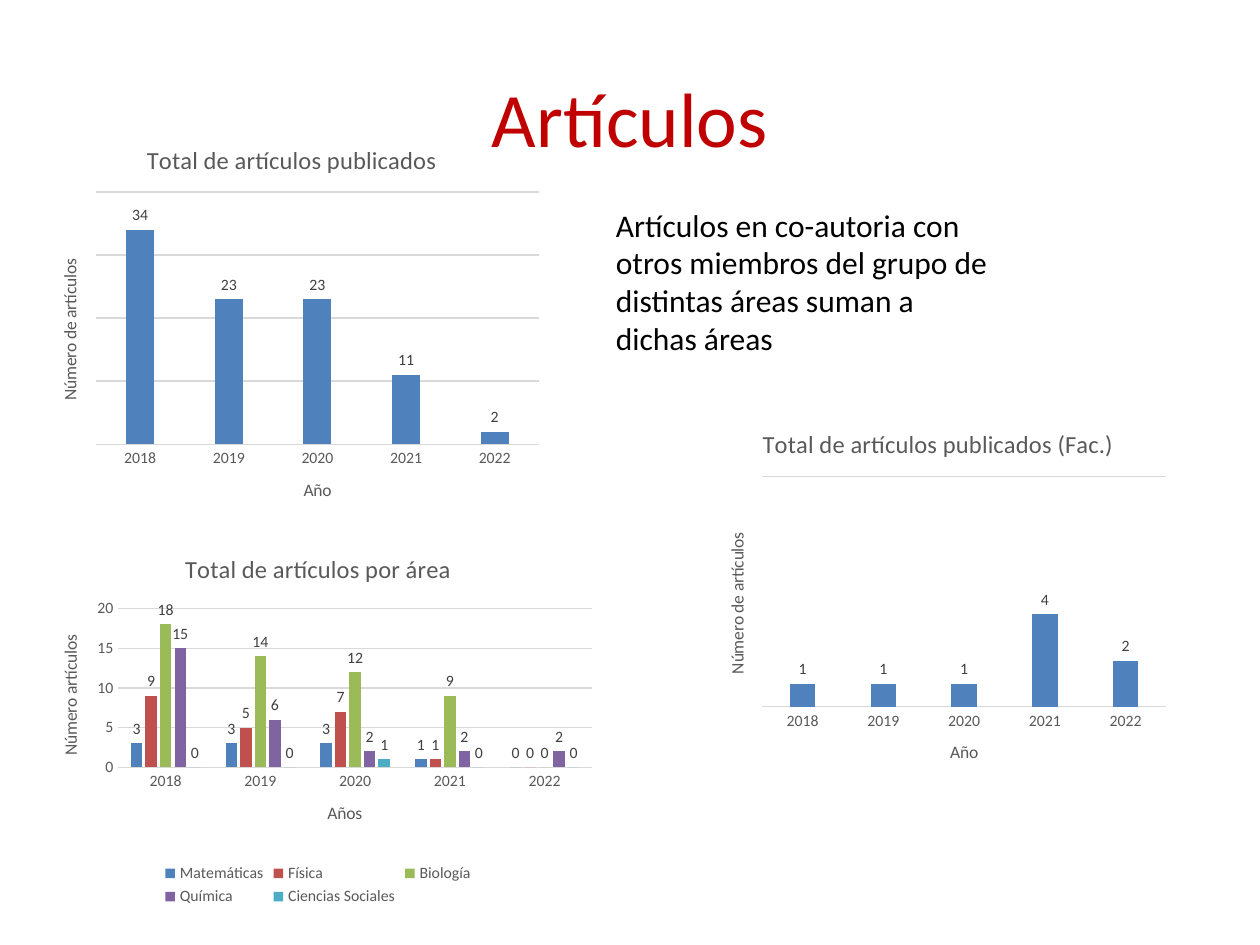
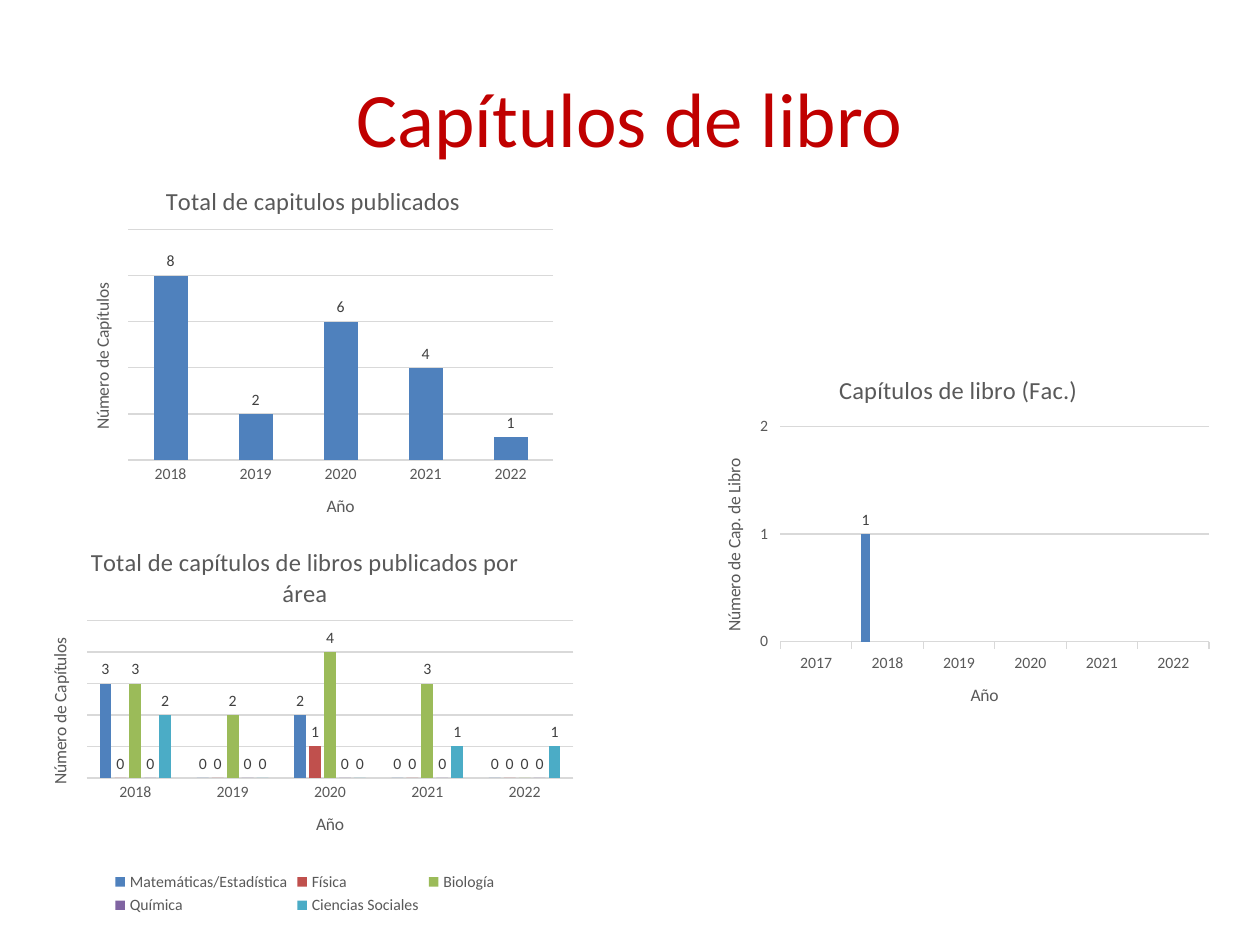
from lxml import etree
from pptx import Presentation
from pptx.chart.data import CategoryChartData
from pptx.dml.color import RGBColor
from pptx.enum.chart import XL_CHART_TYPE, XL_LABEL_POSITION, XL_LEGEND_POSITION, XL_TICK_MARK
from pptx.enum.text import MSO_ANCHOR, PP_ALIGN
from pptx.oxml import parse_xml
from pptx.oxml.ns import nsdecls
from pptx.util import Inches, Pt

COLUMN = XL_CHART_TYPE.COLUMN_CLUSTERED
OUT_END = XL_LABEL_POSITION.OUTSIDE_END
BOTTOM = XL_LEGEND_POSITION.BOTTOM
NO_TICK, TICK = XL_TICK_MARK.NONE, XL_TICK_MARK.OUTSIDE
MIDDLE, CENTER, LEFT = MSO_ANCHOR.MIDDLE, PP_ALIGN.CENTER, PP_ALIGN.LEFT

RED = RGBColor(0xC0, 0x00, 0x00)
BLACK = RGBColor(0x00, 0x00, 0x00)
GRAY = RGBColor(0x59, 0x59, 0x59)
DARK = RGBColor(0x40, 0x40, 0x40)
RULE = RGBColor(0xD9, 0xD9, 0xD9)
FILLS = [RGBColor(0x4F, 0x81, 0xBD), RGBColor(0xC0, 0x50, 0x4D),
         RGBColor(0x9B, 0xBB, 0x59), RGBColor(0x80, 0x64, 0xA2),
         RGBColor(0x4B, 0xAC, 0xC6)]

FACE = "Calibri"
WIDE, HIGH = Inches(10), Inches(7.5)
YEARS = ["2018", "2019", "2020", "2021", "2022"]
HEAD_BOX = (0.05, 0.04, 0.9, 0.167)


def place(box):
    """Turn shares of the slide into lengths."""
    x, y, w, h = box
    return int(x * WIDE), int(y * HIGH), int(w * WIDE), int(h * HIGH)


def style(font, size, color):
    """Set the face, size and colour of a font."""
    for name, value in {"name": FACE, "size": Pt(size), "bold": False}.items():
        setattr(font, name, value)
    font.color.rgb = color


def write(slide, box, words, size, color, align=LEFT, anchor=None):
    """Place one paragraph of wrapped text in a box."""
    frame = slide.shapes.add_textbox(*place(box)).text_frame
    frame.word_wrap = True
    frame.vertical_anchor = anchor
    line = frame.paragraphs[0]
    line.alignment = align
    run = line.add_run()
    run.text = words
    style(run.font, size, color)


def label(owner, words, size):
    """Give a chart or an axis its title."""
    owner.has_title = True
    line = owner.chart_title if hasattr(owner, "chart_title") else owner.axis_title
    run = line.text_frame.paragraphs[0].add_run()
    run.text = words
    style(run.font, size, GRAY)


def rule(line, shown=True):
    """Draw a thin gray line, or hide it."""
    if shown:
        line.color.rgb = RULE
        line.width = Pt(0.75)
    else:
        line.fill.background()


def fit(chart, plot):
    """Fix the inner plot area at shares of the chart's box."""
    area = chart.plots[0]._element.getparent()
    for old in area.findall("{*}layout"):
        area.remove(old)
    layout = parse_xml(f"<c:layout {nsdecls('c')}><c:manualLayout/></c:layout>")
    parts = {"layoutTarget": "inner", "xMode": "edge", "yMode": "edge"}
    parts.update(zip("xywh", plot))
    space = etree.QName(layout).namespace
    for name, value in parts.items():
        etree.SubElement(layout[0], f"{{{space}}}{name}").set("val", str(value))
    area.insert(0, layout)


def dress(axis, words, mark, line):
    """Style what both axes share."""
    label(axis, words, 10)
    axis.major_tick_mark, axis.minor_tick_mark = mark, NO_TICK
    style(axis.tick_labels.font, 9, GRAY)
    rule(axis.format.line, line)


def graph(slide, box, plot, title, side, rows, top, step, base="Año", cats=YEARS,
          scale=False, legend=False, mark=NO_TICK, line=True, gap=219, lap=-27):
    """Place a column chart with labelled bars in a box."""
    data = CategoryChartData()
    data.categories = cats
    for name, values in rows.items():
        data.add_series(name, values)
    chart = slide.shapes.add_chart(COLUMN, *place(box), data).chart
    style(chart.font, 10, BLACK)
    label(chart, title, 14)
    chart.has_legend = legend
    if legend:
        chart.legend.position = BOTTOM
        chart.legend.include_in_layout = False
        style(chart.legend.font, 9, GRAY)

    dress(chart.category_axis, base, mark, line)
    axis = chart.value_axis
    dress(axis, side, mark, False)
    limits = {"minimum_scale": 0, "maximum_scale": top, "major_unit": step,
              "visible": scale, "has_major_gridlines": True}
    for name, value in limits.items():
        setattr(axis, name, value)
    rule(axis.major_gridlines.format.line)

    bars = chart.plots[0]
    for name, value in {"gap_width": gap, "overlap": lap, "vary_by_categories": False}.items():
        setattr(bars, name, value)
    for row, color in zip(bars.series, FILLS):
        row.format.fill.solid()
        row.format.fill.fore_color.rgb = color
        tags = row.data_labels
        tags.show_value, tags.position = True, OUT_END
        style(tags.font, 9, DARK)
    fit(chart, plot)


def page(deck, title):
    """Add a blank slide with the shared heading."""
    slide = deck.slides.add_slide(deck.slide_layouts[6])
    write(slide, HEAD_BOX, title, 44, RED, CENTER, MIDDLE)
    return slide


def papers(deck):
    """Build the slide on articles."""
    slide = page(deck, "Artículos")
    write(slide, (0.479, 0.211, 0.324, 0.175),
          "Artículos en co-autoria con otros miembros del grupo de "
          "distintas áreas suman a dichas áreas", 18, BLACK)
    graph(slide, (0.026, 0.564, 0.453, 0.4), (0.15, 0.2, 0.83, 0.42),
          "Total de artículos por área", "Número artículos",
          {"Matemáticas": [3, 3, 3, 1, 0], "Física": [9, 5, 7, 1, 0],
           "Biología": [18, 14, 12, 9, 0], "Química": [15, 6, 2, 2, 2],
           "Ciencias Sociales": [0, 0, 1, 0, 0]},
          20, 5, base="Años", scale=True, legend=True)
    side = "Número de artículos"
    graph(slide, (0.027, 0.131, 0.409, 0.424), (0.12, 0.17, 0.86, 0.63),
          "Total de artículos publicados", side,
          {"Series 1": [34, 23, 23, 11, 2]}, 40, 10)
    graph(slide, (0.556, 0.432, 0.377, 0.4), (0.13, 0.18, 0.85, 0.61),
          "Total de artículos publicados (Fac.)", side,
          {"Series 1": [1, 1, 1, 4, 2]}, 10, 10)


def books(deck):
    """Build the slide on book chapters."""
    slide = page(deck, "Capítulos de libro")
    side = "Número de Capítulos"
    graph(slide, (0.02, 0.557, 0.444, 0.416), (0.11, 0.24, 0.87, 0.4),
          "Total de capítulos de libros publicados por área", side,
          {"Matemáticas/Estadística": [3, 0, 2, 0, 0], "Física": [0, 0, 1, 0, 0],
           "Biología": [3, 2, 4, 3, 0], "Química": [0] * 5,
           "Ciencias Sociales": [2, 0, 0, 1, 1]},
          5, 1, legend=True)
    graph(slide, (0.05, 0.175, 0.397, 0.4), (0.13, 0.17, 0.85, 0.61),
          "Total de capitulos publicados", side,
          {"Series 1": [8, 2, 6, 4, 1]}, 10, 2, line=False, gap=150, lap=0)
    cats = ["2017"] + YEARS
    rows = {f"Series {n}": [None] * len(cats) for n in range(1, 6)}
    rows["Series 1"][1] = 1
    graph(slide, (0.553, 0.375, 0.415, 0.4), (0.16, 0.19, 0.82, 0.57),
          "Capítulos de libro (Fac.)", "Número de Cap. de Libro", rows,
          2, 1, cats=cats, scale=True, mark=TICK)


deck = Presentation()
deck.slide_width, deck.slide_height = WIDE, HIGH
papers(deck)
books(deck)
deck.save("out.pptx")
